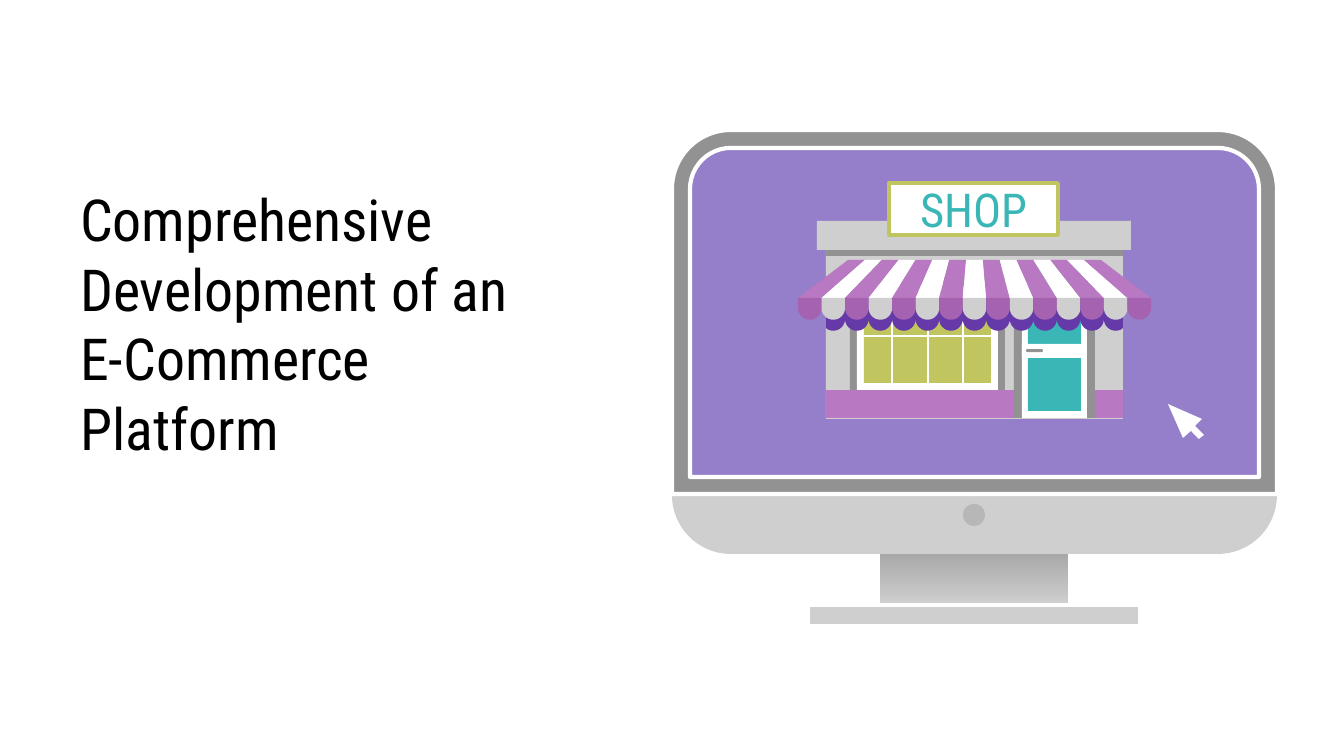
from math import cos, pi, sin

from lxml.etree import SubElement
from pptx import Presentation
from pptx.dml.color import RGBColor
from pptx.enum.shapes import MSO_CONNECTOR, MSO_SHAPE
from pptx.enum.text import MSO_ANCHOR, PP_ALIGN
from pptx.oxml.ns import qn
from pptx.util import Inches, Pt

PX = Inches(10) / 1344
FONT = "Roboto Condensed"
COLORS = {
    "black": "000000", "white": "FFFFFF", "silver": "CFCFCF", "gray": "929292",
    "button": "B7B7B7", "stand top": "919191", "stand bottom": "DDDDDD",
    "screen": "957FCA", "orchid": "B878C2", "plum": "A562B0",
    "violet": "6639A8", "olive": "C0C55F", "teal": "39B6B5",
}

TITLE = "Comprehensive Development of an E-Commerce Platform"
TITLE_BOX = (67, 212, 509, 222)
SIGN = "SHOP"
SIGN_BOX = (887, 183, 173, 52)

# Boxes are left, top, width, height; parts are listed from back to front.
STAND = (880, 525, 188, 97)
BASE = (808, 605, 332, 21)
BODY = (672, 130, 605, 424)
BEZEL = (672, 130, 605, 364)
SCREEN = (690, 148, 569, 329)
BUTTON = (963, 504, 22, 22)
OUTER_RADIUS, INNER_RADIUS = 59, 41

SHOP_PARTS = [
    ("wall", (826, 222, 297, 197), "silver"),
    ("window frame", (850, 277, 155, 120), "gray"),
    ("window sash", (857, 284, 141, 106), "white"),
    ("window glass", (864, 291, 127, 92), "olive"),
    ("plinth", (826, 390, 297, 28), "orchid"),
    ("door frame", (1014, 263, 81, 155), "gray"),
    ("door", (1022, 261, 65, 157), "white"),
    ("door glass", (1028, 268, 53, 143), "teal"),
    ("door rail", (1022, 344, 65, 14), "white"),
    ("eave shadow", (826, 231, 297, 25), "gray"),
    ("eave", (817, 221, 314, 29), "silver"),
]
HANDLE = (1026, 349, 17, 3)
WINDOW_BARS = [(859, 336, 996, 336)] + [(x, 279, x, 387) for x in (892, 928, 963)]

STRIPES = 15
AWNING_TOP = (848, 260, 253)  # left, y, width
AWNING_BOTTOM = (798, 298, 353)
SCALLOP_CENTER, SHADE_TOP, SHADE_CENTER = 308, 298, 319
WALL_LEFT, WALL_RIGHT = 826, 1123

CURSOR = [(1168, 404), (1183, 438), (1191, 431), (1199, 439),
          (1204, 435), (1195, 426), (1202, 419)]


def emu(px):
    return round(px * PX)


def rgb(name):
    return RGBColor.from_string(COLORS[name])


def paint(shape, fill, line=None, width=0.75):
    shape.shadow.inherit = False
    if fill:
        shape.fill.solid()
        shape.fill.fore_color.rgb = rgb(fill)
    if line:
        shape.line.color.rgb = rgb(line)
        shape.line.width = Pt(width)
    else:
        shape.line.fill.background()
    return shape


def add_part(shapes, box, fill, kind=MSO_SHAPE.RECTANGLE, radius=None, **line):
    shape = shapes.add_shape(kind, *map(emu, box))
    if radius:
        shape.adjustments[0] = radius / min(box[2:])
    return paint(shape, fill, **line)


def add_outline(shapes, points, fill):
    start, *rest = [(emu(x), emu(y)) for x, y in points]
    builder = shapes.build_freeform(*start)
    builder.add_line_segments(rest, close=True)
    return paint(builder.convert_to_shape(), fill)


def add_bar(shapes, ends, color, width):
    bar = shapes.add_connector(MSO_CONNECTOR.STRAIGHT, *map(emu, ends))
    bar.line.color.rgb = rgb(color)
    bar.line.width = Pt(width)
    SubElement(bar._element.spPr, qn("a:effectLst"))


def add_text(shapes, text, box, size, color, align=PP_ALIGN.LEFT):
    frame = shapes.add_textbox(*map(emu, box)).text_frame
    frame.word_wrap = True
    frame.vertical_anchor = MSO_ANCHOR.MIDDLE
    frame.margin_left = frame.margin_right = Inches(0.1)
    frame.margin_top = frame.margin_bottom = Inches(0.1)
    paragraph = frame.paragraphs[0]
    paragraph.alignment = align
    run = paragraph.add_run()
    run.text = text
    run.font.name = FONT
    run.font.size = Pt(size)
    run.font.color.rgb = rgb(color)


def lower_arc(left, right, center_y, steps=16):
    """Points of the lower half circle from left to right."""
    radius = (right - left) / 2
    angles = [pi * step / steps for step in range(steps + 1)]
    return [(left + radius - radius * cos(a), center_y + radius * sin(a))
            for a in angles]


def draw_monitor(shapes):
    stand = add_part(shapes, STAND, None)
    stand.fill.gradient()
    stand.fill.gradient_angle = 270
    for stop, color in zip(stand.fill.gradient_stops, ("stand top", "stand bottom")):
        stop.color.rgb = rgb(color)
    add_part(shapes, BASE, "silver", line="white", width=2.25)
    add_part(shapes, BODY, "silver", MSO_SHAPE.ROUNDED_RECTANGLE, OUTER_RADIUS)
    add_part(shapes, BUTTON, "button", MSO_SHAPE.OVAL)
    for box, fill, radius in ((BEZEL, "gray", OUTER_RADIUS),
                              (SCREEN, "screen", INNER_RADIUS)):
        add_part(shapes, box, fill, MSO_SHAPE.ROUND_2_SAME_RECTANGLE, radius,
                 line="white", width=2.25)


def draw_awning(shapes):
    top_left, top_y, top_width = AWNING_TOP
    left, bottom_y, width = AWNING_BOTTOM
    top_edges = [top_left + top_width * i / STRIPES for i in range(STRIPES + 1)]
    edges = [left + width * i / STRIPES for i in range(STRIPES + 1)]
    scallops = list(zip(edges, edges[1:]))

    shade = [(min(max(x, WALL_LEFT), WALL_RIGHT), y)
             for a, b in scallops[1:-1] for x, y in lower_arc(a, b, SHADE_CENTER)]
    add_outline(shapes, [(WALL_LEFT, SHADE_TOP), *shade, (WALL_RIGHT, SHADE_TOP)],
                "violet")
    for i, (a, b) in enumerate(scallops):
        stripe, scallop = ("white", "silver") if i % 2 else ("orchid", "plum")
        add_outline(shapes, [(top_edges[i], top_y), (a, bottom_y),
                             (b, bottom_y), (top_edges[i + 1], top_y)], stripe)
        add_outline(shapes, [(a, bottom_y), *lower_arc(a, b, SCALLOP_CENTER),
                             (b, bottom_y)], scallop)


def draw_shop(shapes):
    for _, box, fill in SHOP_PARTS:
        add_part(shapes, box, fill)
    add_part(shapes, HANDLE, "gray", MSO_SHAPE.ROUNDED_RECTANGLE, HANDLE[3] / 2)
    for ends in WINDOW_BARS:
        add_bar(shapes, ends, "white", 0.85)
    draw_awning(shapes)
    x, y, w, h = SIGN_BOX
    add_part(shapes, (x + 2, y, w - 4, h), "white", line="olive", width=2)
    add_text(shapes, SIGN, SIGN_BOX, 25, "teal", PP_ALIGN.CENTER)


def main():
    deck = Presentation()
    deck.slide_width, deck.slide_height = emu(1344), emu(756)
    shapes = deck.slides.add_slide(deck.slide_layouts[6]).shapes
    add_text(shapes, TITLE, TITLE_BOX, 31, "black")
    draw_monitor(shapes)
    draw_shop(shapes)
    add_outline(shapes, CURSOR, "white")
    deck.save("out.pptx")


if __name__ == "__main__":
    main()
